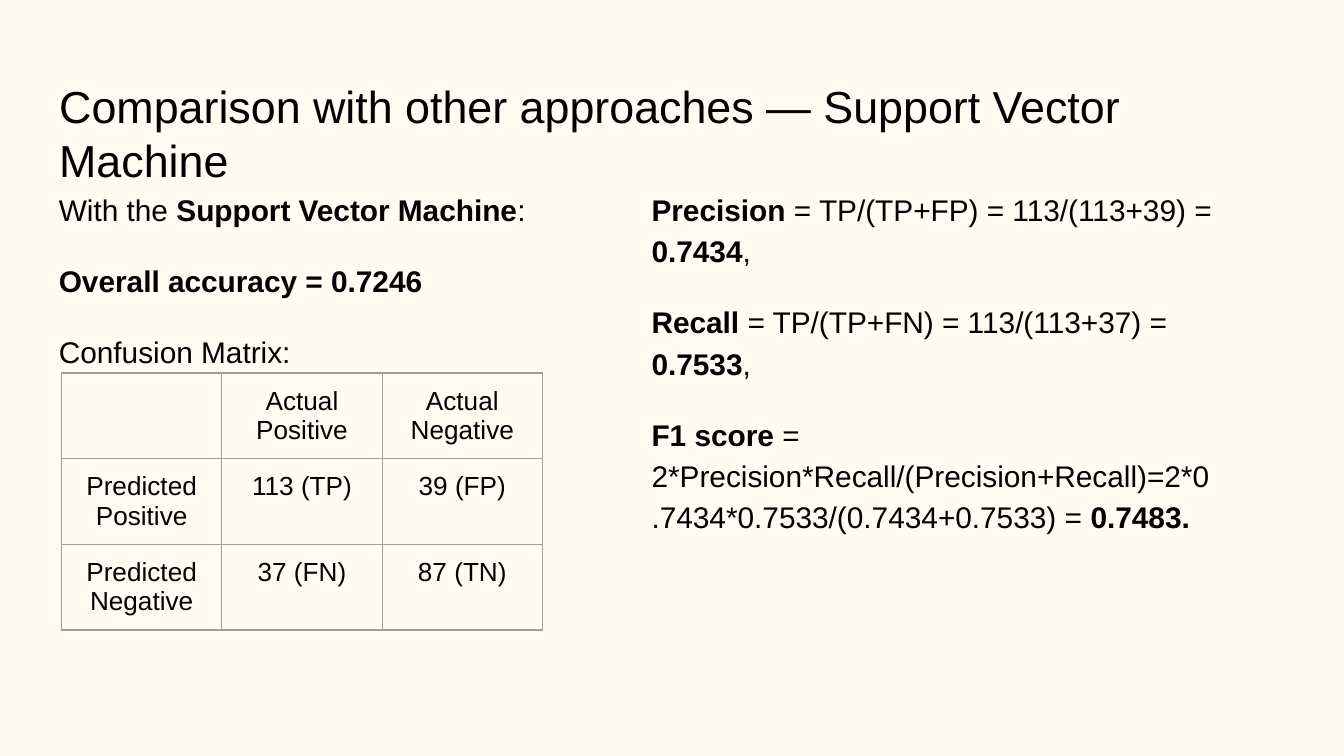
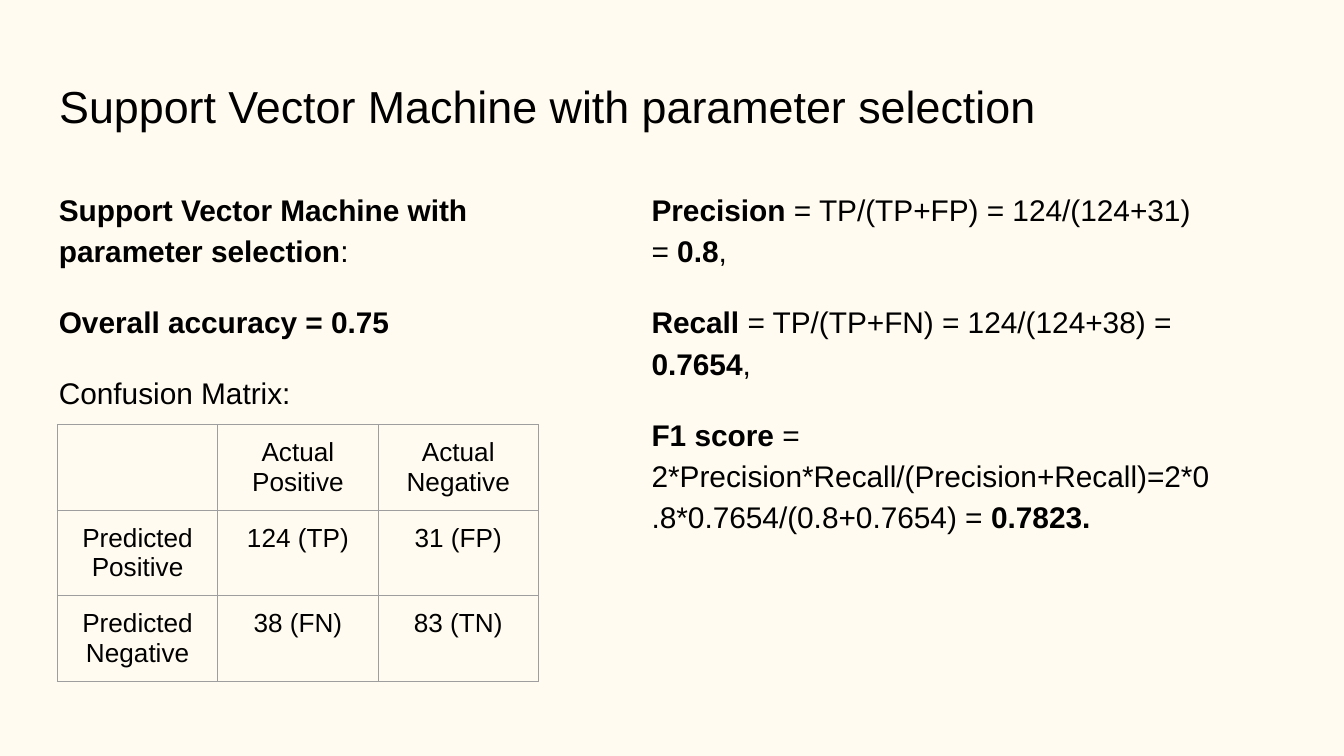
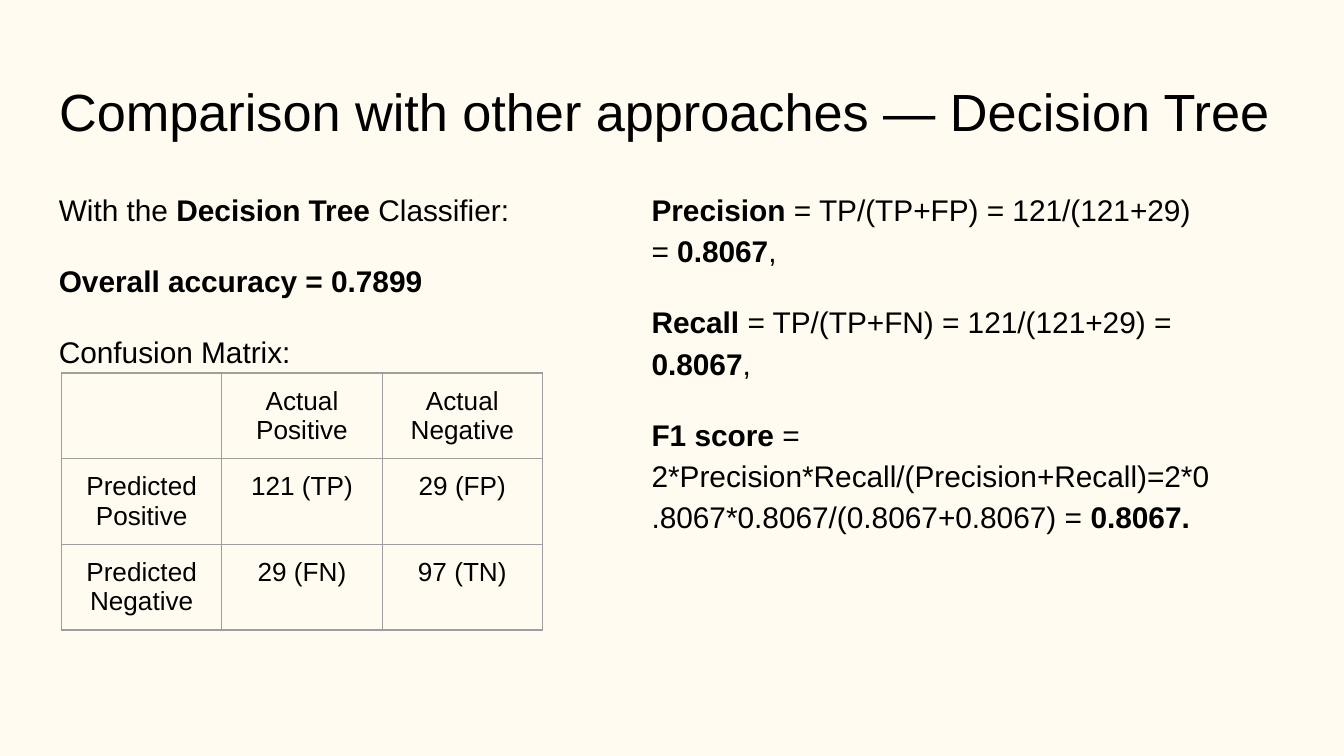
from dataclasses import dataclass

from lxml import etree
from pptx import Presentation
from pptx.dml.color import RGBColor
from pptx.enum.text import MSO_ANCHOR, MSO_AUTO_SIZE, PP_ALIGN
from pptx.oxml.ns import qn
from pptx.util import Emu, Inches, Pt

LEFT, CENTER = PP_ALIGN.LEFT, PP_ALIGN.CENTER
TOP, NO_AUTOFIT = MSO_ANCHOR.TOP, MSO_AUTO_SIZE.NONE
TITLE_ONLY = 5

COLORS = {"background": "FFFBF0", "text": "000000", "border": "9E9E9E"}
FONT = "Arial"
MARGINS = {f"margin_{side}": Inches(0.1) for side in ("left", "top", "right", "bottom")}
FRAME_FORMAT = {**MARGINS, "word_wrap": True, "auto_size": NO_AUTOFIT, "vertical_anchor": TOP}
BODY_SIZE, CELL_SIZE, BORDER_WIDTH = 16, 14, 0.75

# Regions as percentages of the slide: left, top, width, height
SLIDE_BOX = (0, 0, Inches(10), Inches(5.625))
TITLE_REGION = (3.4, 8.65, 93.2, 11.9)
LEFT_REGION = (3.4, 22.9, 43.7, 66.1)
RIGHT_REGION = (47.5, 22.9, 43.7, 66.1)

# Table cell size as percentages of the left region
CELL_WIDTH, CELL_HEIGHT = 27.3, 17.1


@dataclass
class Classifier:
    title: str
    title_size: int
    intro: list  # (text, bold) pairs
    counts: tuple  # TP, FP, FN, TN
    table_offset: tuple  # percentages of the left region


CLASSIFIERS = [
    Classifier("Comparison with other approaches — Support Vector Machine", 24,
               [("With the ", False), ("Support Vector Machine", True), (":", False)],
               (113, 39, 37, 87), (2.7, 40)),
    Classifier("Support Vector Machine with parameter selection", 24,
               [("Support Vector Machine with parameter selection", True), (":", False)],
               (124, 31, 38, 83), (2, 50.3)),
    Classifier("Comparison with other approaches — Decision Tree", 28,
               [("With the ", False), ("Decision Tree", True), (" Classifier:", False)],
               (121, 29, 29, 97), (2.7, 40)),
]


def apply(target, values):
    for name, value in values.items():
        setattr(target, name, value)


def region_in(box, region):
    """Turn percentages of a box into a box in EMU."""
    left, top, width, height = box
    x, y, w, h = region
    return tuple(Emu(round(length)) for length in (
        left + width * x / 100, top + height * y / 100, width * w / 100, height * h / 100))


def format_font(font, size, bold=False):
    apply(font, {"name": FONT, "size": Pt(size), "bold": bold})
    font.color.rgb = RGBColor.from_string(COLORS["text"])


def add_runs(paragraph, runs, size):
    for text, bold in runs:
        run = paragraph.add_run()
        run.text = text
        format_font(run.font, size, bold)


def add_title(slide, box, text, size):
    title = slide.shapes.title
    apply(title, dict(zip(("left", "top", "width", "height"), box)))
    apply(title.text_frame, FRAME_FORMAT)
    paragraph = title.text_frame.paragraphs[0]
    paragraph.alignment = LEFT
    add_runs(paragraph, [(text, False)], size)


def add_body(slide, box, paragraphs):
    frame = slide.shapes.add_textbox(*box).text_frame
    apply(frame, FRAME_FORMAT)
    for index, runs in enumerate(paragraphs):
        paragraph = frame.add_paragraph() if index else frame.paragraphs[0]
        apply(paragraph, {"line_spacing": 1.15, "space_before": Pt(BODY_SIZE if index else 0)})
        add_runs(paragraph, runs, BODY_SIZE)


def add_borders(cell):
    properties = cell._tc.get_or_add_tcPr()
    for side in ("lnL", "lnR", "lnT", "lnB"):
        line = etree.SubElement(properties, qn(f"a:{side}"), w=str(Pt(BORDER_WIDTH)))
        fill = etree.SubElement(line, qn("a:solidFill"))
        etree.SubElement(fill, qn("a:srgbClr"), val=COLORS["border"])


def add_confusion_matrix(slide, box, offset, counts):
    tp, fp, fn, tn = counts
    rows = [
        ("", "Actual Positive", "Actual Negative"),
        ("Predicted Positive", f"{tp} (TP)", f"{fp} (FP)"),
        ("Predicted Negative", f"{fn} (FN)", f"{tn} (TN)"),
    ]
    size = len(rows)
    table_box = region_in(box, (*offset, size * CELL_WIDTH, size * CELL_HEIGHT))
    table = slide.shapes.add_table(size, size, *table_box).table
    apply(table, {"first_row": False, "horz_banding": False})
    for row_index, row in enumerate(rows):
        for column_index, text in enumerate(row):
            cell = table.cell(row_index, column_index)
            apply(cell, MARGINS)
            add_borders(cell)
            cell.fill.background()
            paragraph = cell.text_frame.paragraphs[0]
            paragraph.alignment = CENTER
            if text:
                add_runs(paragraph, [(text, False)], CELL_SIZE)


def score_paragraphs(counts):
    tp, fp, fn, _ = counts
    precision = round(tp / (tp + fp), 4)
    recall = round(tp / (tp + fn), 4)
    f1 = round(2 * tp / (2 * tp + fp + fn), 4)
    ratios = [("Precision", "FP", fp, precision), ("Recall", "FN", fn, recall)]
    paragraphs = [
        [(name, True), (f" = TP/(TP+{error}) = {tp}/({tp}+{count}) = ", False),
         (f"{score}", True), (",", False)]
        for name, error, count, score in ratios
    ]
    formula = (f"= 2*Precision*Recall/(Precision+Recall)="
               f"2*{precision}*{recall}/({precision}+{recall}) = ")
    return paragraphs + [[("F1 score ", True), (formula, False), (f"{f1}.", True)]]


def add_classifier_slide(presentation, classifier):
    slide = presentation.slides.add_slide(presentation.slide_layouts[TITLE_ONLY])
    tp, _, _, tn = classifier.counts
    accuracy = round((tp + tn) / sum(classifier.counts), 4)
    left_box = region_in(SLIDE_BOX, LEFT_REGION)

    add_body(slide, region_in(SLIDE_BOX, RIGHT_REGION), score_paragraphs(classifier.counts))
    add_title(slide, region_in(SLIDE_BOX, TITLE_REGION), classifier.title, classifier.title_size)
    add_body(slide, left_box, [
        classifier.intro,
        [(f"Overall accuracy = {accuracy}", True)],
        [("Confusion Matrix:", False)],
    ])
    add_confusion_matrix(slide, left_box, classifier.table_offset, classifier.counts)


def main():
    presentation = Presentation()
    apply(presentation, {"slide_width": SLIDE_BOX[2], "slide_height": SLIDE_BOX[3]})
    # Shared background
    fill = presentation.slide_master.background.fill
    fill.solid()
    fill.fore_color.rgb = RGBColor.from_string(COLORS["background"])
    for classifier in CLASSIFIERS:
        add_classifier_slide(presentation, classifier)
    presentation.save("out.pptx")


if __name__ == "__main__":
    main()
